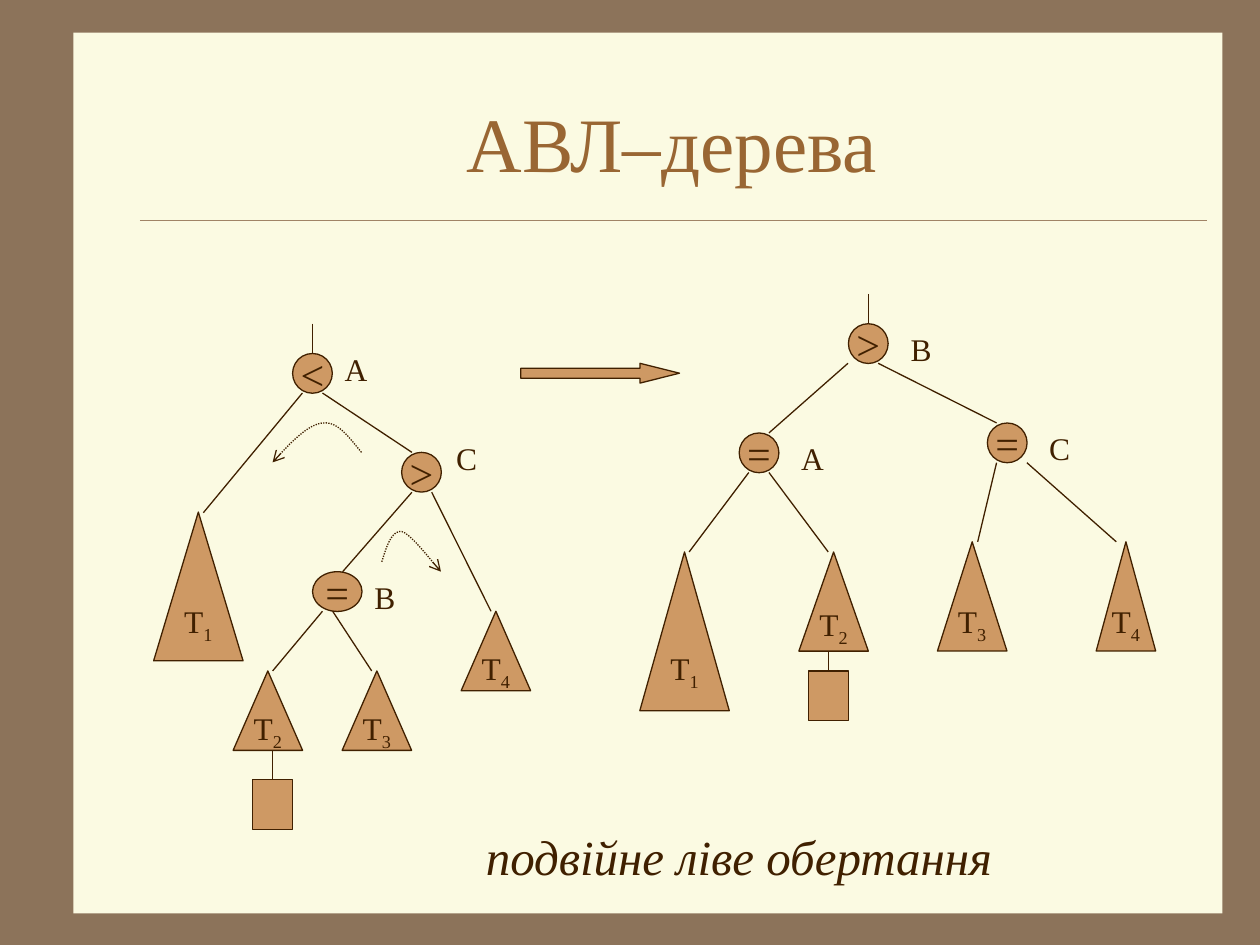
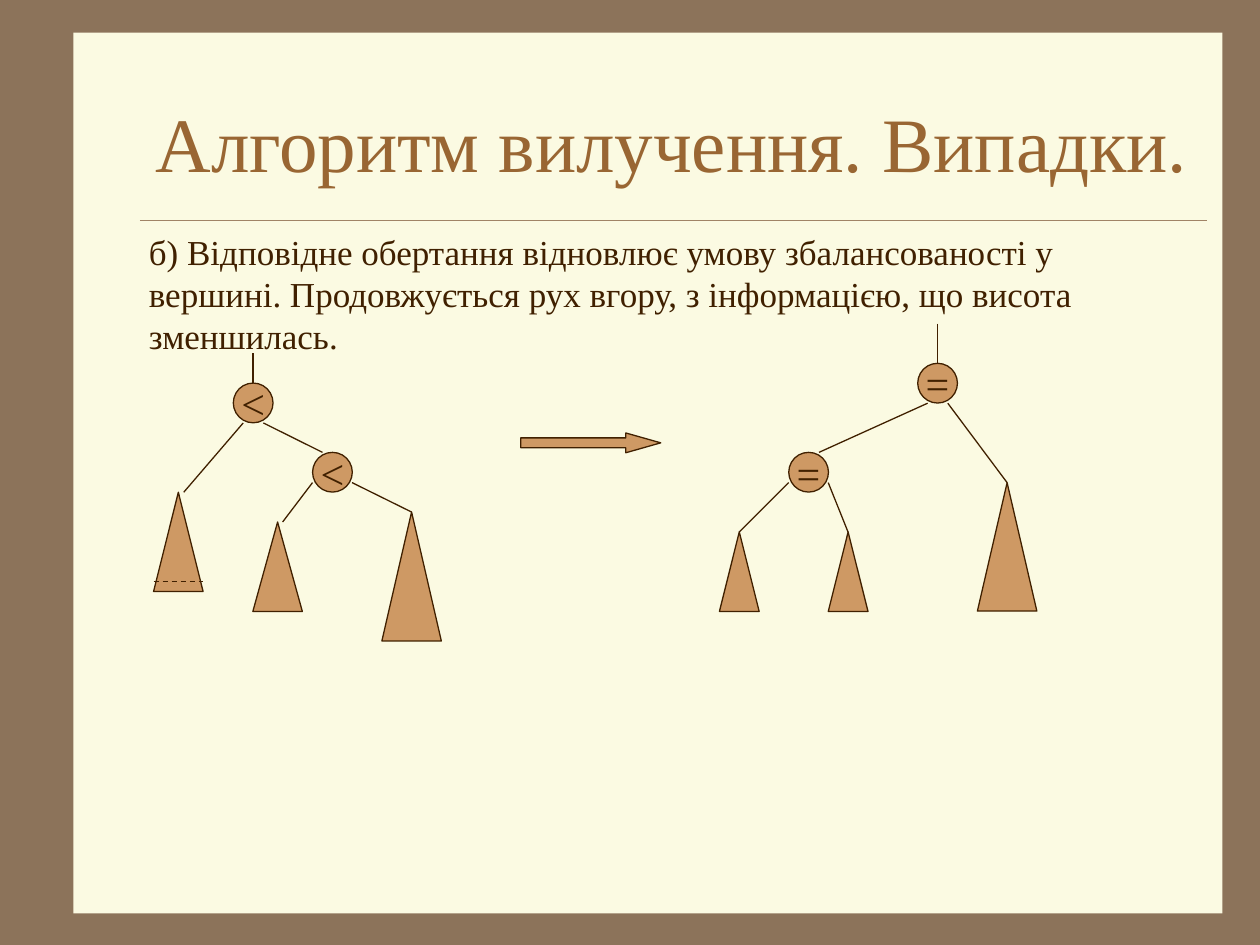
from lxml import etree
from pptx import Presentation
from pptx.dml.color import RGBColor
from pptx.enum.dml import MSO_LINE
from pptx.enum.shapes import MSO_CONNECTOR, MSO_SHAPE
from pptx.enum.text import MSO_ANCHOR, PP_ALIGN
from pptx.oxml.ns import qn
from pptx.util import Pt

STRAIGHT = MSO_CONNECTOR.STRAIGHT
ELLIPSE = MSO_SHAPE.OVAL
TRIANGLE = MSO_SHAPE.ISOSCELES_TRIANGLE
RECTANGLE = MSO_SHAPE.RECTANGLE
RIGHT_ARROW = MSO_SHAPE.RIGHT_ARROW
MIDDLE, TOP = MSO_ANCHOR.MIDDLE, MSO_ANCHOR.TOP
CENTER, LEFT = PP_ALIGN.CENTER, PP_ALIGN.LEFT
DASH, DOT = MSO_LINE.DASH, MSO_LINE.ROUND_DOT

FONT = "Times New Roman"
COLORS = {
    "frame": "8C735A",
    "page": "FBFAE2",
    "rule": "A08366",
    "title": "996633",
    "ink": "402000",
    "node": "CE9964",
}
NODE_SIZE = 22.7
CURVE_STEPS = 12


def color(name):
    return RGBColor.from_string(COLORS[name])


def format_runs(paragraph, size, ink="ink", italic=False):
    for run in paragraph.runs:
        run.font.name = FONT
        run.font.size = Pt(size)
        run.font.italic = italic
        run.font.color.rgb = color(ink)


def paint(shape, dash=None):
    shape.shadow.inherit = False
    shape.line.color.rgb = color("ink")
    shape.line.width = Pt(0.75)
    if dash:
        shape.line.dash_style = dash


def add_figure(slide, kind, left, top, width, height):
    """Add a preset shape in the common tree style."""
    figure = slide.shapes.add_shape(kind, Pt(left), Pt(top), Pt(width), Pt(height))
    figure.fill.solid()
    figure.fill.fore_color.rgb = color("node")
    paint(figure)
    return figure


def write_inside(figure, text, size, subscript=""):
    frame = figure.text_frame
    frame.word_wrap = False
    frame.vertical_anchor = MIDDLE
    paragraph = frame.paragraphs[0]
    paragraph.text = text
    paragraph.alignment = CENTER
    if subscript:
        index = paragraph.add_run()
        index.text = subscript
        index._r.get_or_add_rPr().set("baseline", "-25000")
    format_runs(paragraph, size)


def add_node(slide, balance, left, top, width=NODE_SIZE):
    node = add_figure(slide, ELLIPSE, left, top, width, NODE_SIZE)
    write_inside(node, balance, 24)
    return node


def add_subtree(slide, left, top, width, height, index=""):
    subtree = add_figure(slide, TRIANGLE, left, top, width, height)
    if index:
        write_inside(subtree, "T", 18, index)


def add_line(slide, x1, y1, x2, y2, ink="ink", width=0.75, dash=None):
    line = slide.shapes.add_connector(STRAIGHT, Pt(x1), Pt(y1), Pt(x2), Pt(y2))
    line.line.color.rgb = color(ink)
    line.line.width = Pt(width)
    if dash:
        line.line.dash_style = dash
    etree.SubElement(line.element.spPr, qn("a:effectLst"))
    return line


def add_stem(slide, figure, length):
    """Draw a vertical line down to the middle of the figure's top side."""
    x = (figure.left + figure.width / 2) / Pt(1)
    y = figure.top / Pt(1)
    add_line(slide, x, y - length, x, y).end_connect(figure, 0)


def add_new_leaf(slide, left, top, stem):
    add_stem(slide, add_figure(slide, RECTANGLE, left, top, NODE_SIZE, 28.3), stem)


def add_transition(slide, left, top, width, head):
    arrow = add_figure(slide, RIGHT_ARROW, left, top, width, 11.3)
    arrow.adjustments[0] = 0.5
    arrow.adjustments[1] = head


def add_text(slide, text, left, top, width, height, size, align=LEFT, italic=False):
    box = slide.shapes.add_textbox(Pt(left), Pt(top), Pt(width), Pt(height))
    frame = box.text_frame
    frame.word_wrap = True
    frame.vertical_anchor = TOP
    paragraph = frame.paragraphs[0]
    paragraph.text = text
    paragraph.alignment = align
    format_runs(paragraph, size, italic=italic)


def bezier_points(start, control1, control2, end):
    for step in range(1, CURVE_STEPS + 1):
        t = step / CURVE_STEPS
        u = 1 - t
        yield tuple(
            Pt(u**3 * a + 3 * u * u * t * b + 3 * u * t * t * c + t**3 * d)
            for a, b, c, d in zip(start, control1, control2, end)
        )


def add_rotation(slide, points):
    """Draw a dotted arrow through chained cubic curves."""
    builder = slide.shapes.build_freeform(Pt(points[0][0]), Pt(points[0][1]))
    for first in range(0, len(points) - 1, 3):
        curve = list(bezier_points(*points[first:first + 4]))
        builder.add_line_segments(curve, close=False)
    rotation = builder.convert_to_shape()
    rotation.fill.background()
    paint(rotation, DOT)
    etree.SubElement(rotation.line._get_or_add_ln(), qn("a:tailEnd"), type="arrow")


def add_page(prs, heading):
    """Add a slide with the pale page, the rule and its title."""
    slide = prs.slides.add_slide(prs.slide_layouts[5])
    page = slide.shapes.add_shape(RECTANGLE, Pt(42), Pt(18.7), Pt(656.5), Pt(503.2))
    page.shadow.inherit = False
    page.fill.solid()
    page.fill.fore_color.rgb = color("page")
    page.line.fill.background()
    add_line(slide, 80, 126, 690, 126, "rule", 0.25)

    title = slide.shapes.title
    title.element.getparent().append(title.element)
    title.left, title.top, title.width, title.height = Pt(78), Pt(36), Pt(612), Pt(90)
    frame = title.text_frame
    frame.text = heading
    frame.word_wrap = True
    frame.vertical_anchor = MIDDLE
    frame.paragraphs[0].alignment = CENTER
    format_runs(frame.paragraphs[0], 44, "title")
    return slide


def add_tree(slide, root, stem, nodes, subtrees, edges):
    """Draw one tree: its root with a stem, inner nodes, subtrees and edges."""
    add_stem(slide, add_node(slide, *root), stem)
    for node in nodes:
        add_node(slide, *node)
    for subtree in subtrees:
        add_subtree(slide, *subtree)
    for edge in edges:
        add_line(slide, *edge)


def build_double_rotation(prs):
    slide = add_page(prs, "АВЛ–дерева")
    add_tree(
        slide, ("<", 167.2, 202), 17,
        nodes=[(">", 229.5, 258.5), ("=", 178.6, 326.7, 28.3)],
        subtrees=[
            (87.8, 292.6, 51.1, 85, "1"),
            (133.2, 383.4, 39.7, 45.4, "2"),
            (195.5, 383.4, 39.7, 45.4, "3"),
            (263.5, 349.3, 39.7, 45.4, "4"),
        ],
        edges=[
            (172.8, 224.6, 116.2, 293), (184.3, 224.6, 235.4, 258.5),
            (235.4, 281.3, 195.8, 326.7), (246.7, 281.3, 280.6, 349.3),
            (184.3, 349.3, 155.8, 383.4), (190.1, 349.3, 212.4, 383.4),
        ],
    )
    add_new_leaf(slide, 144.3, 445.6, 17)
    add_tree(
        slide, (">", 484.8, 185), 17,
        nodes=[("=", 422.4, 247.4), ("=", 564.2, 241.7)],
        subtrees=[
            (365.6, 315.4, 51.1, 90.7, "1"),
            (456.5, 315.4, 39.7, 56.7, "2"),
            (535.7, 309.6, 39.7, 62.4, "3"),
            (626.4, 309.6, 34, 62.4, "4"),
        ],
        edges=[
            (484.6, 207.6, 439.4, 247.4), (501.8, 207.6, 569.5, 241.7),
            (427.9, 270, 393.8, 315.4), (439.4, 270, 473.3, 315.4),
            (569.5, 264.4, 558.7, 309.6), (586.8, 264.4, 637.9, 309.6),
        ],
    )
    add_new_leaf(slide, 462, 383.4, 11.3)
    for name, left, top in [
        ("A", 189.9, 196.4), ("C", 253.5, 247.4), ("B", 206.8, 326.7),
        ("B", 513.2, 185), ("A", 450.7, 247.4), ("C", 592.4, 241.7),
    ]:
        add_text(slide, name, left, top, 32, 29, 18)
    add_transition(slide, 297.6, 207.6, 90.7, 1.996)
    add_rotation(slide, [
        (206.6, 258.5), (199.4, 249.8), (193, 240.5), (184.3, 241.7),
        (175.7, 242.6), (165.6, 253.4), (155.8, 264.2),
    ])
    add_rotation(slide, [
        (218.2, 321.1), (221, 311.8), (223.9, 303.1), (229.7, 303.8),
        (235.4, 305.3), (249.1, 324), (252, 326.7),
    ])
    add_text(slide, "подвійне ліве обертання", 263.5, 468.7, 317.5, 41, 28,
             CENTER, italic=True)


def build_deletion_case(prs):
    slide = add_page(prs, "Алгоритм вилучення. Випадки.")
    add_text(
        slide,
        "б) Відповідне обертання відновлює умову збалансованості у вершині. "
        "Продовжується рух вгору, з інформацією, що висота зменшилась.",
        78, 128.2, 594, 374.4, 20,
    )
    add_tree(
        slide, ("<", 133.3, 218.9), 17,
        nodes=[("<", 178.6, 258.5)],
        subtrees=[
            (87.8, 281.3, 28.3, 56.7),
            (144.5, 298.3, 28.3, 51.1),
            (218.2, 292.6, 34, 73.7),
        ],
        edges=[
            (139, 241.7, 105, 281.3), (150.5, 241.7, 184.3, 258.5),
            (178.6, 275.8, 161.5, 298.3), (201.2, 275.8, 235.2, 292.6),
        ],
    )
    add_line(slide, 87.8, 332.3, 116.1, 332.3, dash=DASH)
    add_tree(
        slide, ("=", 524.4, 207.6), 22.7,
        nodes=[("=", 450.7, 258.5)],
        subtrees=[
            (411.1, 304, 22.7, 45.4),
            (473.3, 304, 22.7, 45.4),
            (558.5, 275.8, 34, 73.4),
        ],
        edges=[
            (530.1, 230.4, 468, 258.5), (541.6, 230.4, 575.5, 275.8),
            (450.7, 275.8, 422.4, 304), (473.3, 275.8, 484.6, 304),
        ],
    )
    add_transition(slide, 297.6, 247.4, 80, 1.763)


def main():
    prs = Presentation()
    prs.slide_width, prs.slide_height = Pt(720), Pt(540)
    backdrop = prs.slide_master.background.fill
    backdrop.solid()
    backdrop.fore_color.rgb = color("frame")
    build_double_rotation(prs)
    build_deletion_case(prs)
    prs.save("out.pptx")


if __name__ == "__main__":
    main()
